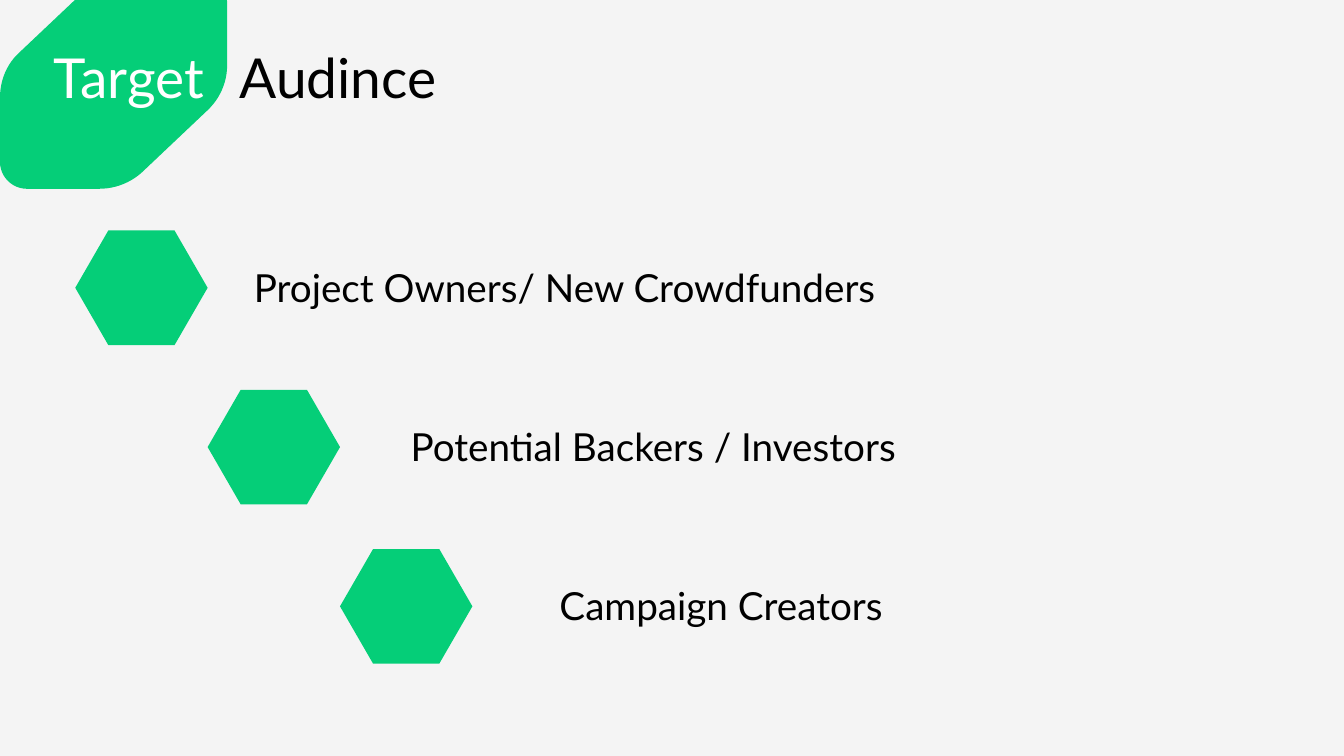
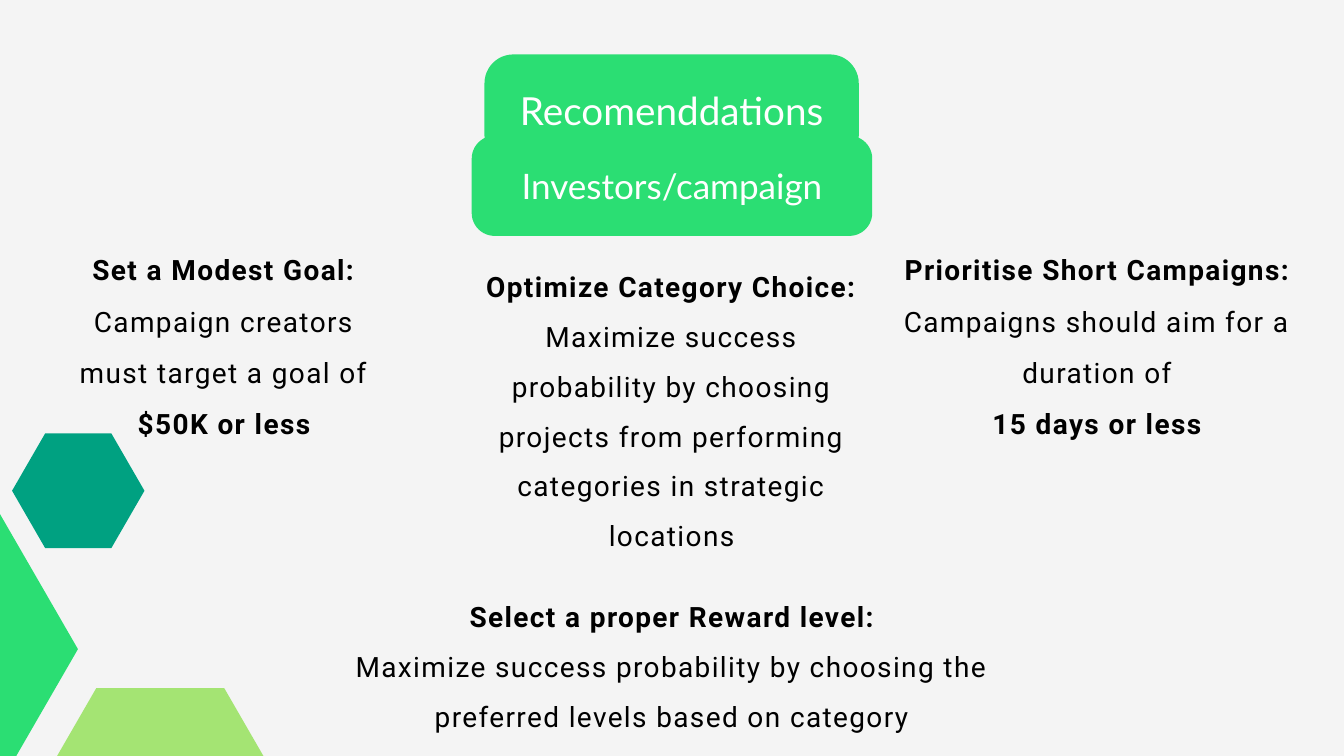
from pptx import Presentation
from pptx.dml.color import RGBColor
from pptx.enum.shapes import MSO_SHAPE
from pptx.enum.text import MSO_ANCHOR, MSO_AUTO_SIZE, PP_ALIGN
from pptx.util import Inches, Pt

COLUMNS = 20
TITLE_ONLY = 5
BACKGROUND = "F4F4F4"
BRIGHT_GREEN = "05CE78"
GREEN = "2BDE73"
LIME = "A4E473"
TEAL = "00A181"
BLACK = "000000"
WHITE = "FFFFFF"

FRAME = {
    "margin_left": 0, "margin_top": 0, "margin_right": 0, "margin_bottom": 0,
    "word_wrap": True, "auto_size": MSO_AUTO_SIZE.NONE,
    "vertical_anchor": MSO_ANCHOR.TOP,
}
HEADING = {"name": "Lato", "size": Pt(59), "bold": False}
LABEL = {**HEADING, "size": Pt(41.4)}
SUBTITLE = {**HEADING, "size": Pt(37.6)}
BODY = {"name": "Roboto", "size": Pt(30), "bold": False}
STRONG = {**BODY, "bold": True}
BODY_TRACKING = 1.5

# Each step is a straight line to one point or a curve given by three.
LEAF_START = (3.38, 0.04)
LEAF_STEPS = [
    [(3.38, 0.97)], [(3.38, 1.23), (3.27, 1.47), (3.09, 1.64)],
    [(2.15, 2.53)], [(1.97, 2.71), (1.73, 2.81), (1.47, 2.81)],
    [(0.4, 2.81)], [(0.18, 2.81), (0, 2.63), (0, 2.41)],
    [(0, 1.45)], [(0, 1.2), (0.1, 0.95), (0.29, 0.78)],
    [(1.2, -0.08)], [(1.38, -0.26), (1.63, -0.35), (1.88, -0.35)],
    [(2.98, -0.35)], [(3.2, -0.35), (3.38, -0.18), (3.38, 0.04)],
]


def color(value):
    return RGBColor.from_string(value)


def apply(target, values):
    for name, value in values.items():
        setattr(target, name, value)


def outline(start, steps, pieces=12):
    """Return the points of an outline, with its curves divided into short lines."""
    points = [start]
    for step in steps:
        if len(step) == 1:
            points += step
            continue
        controls = [points[-1], *step]
        for piece in range(1, pieces + 1):
            t = piece / pieces
            weights = ((1 - t) ** 3, 3 * t * (1 - t) ** 2, 3 * t * t * (1 - t), t ** 3)
            points.append(tuple(
                sum(weight * point[axis] for weight, point in zip(weights, controls))
                for axis in (0, 1)))
    return points


class Deck:
    """Slides on a grid of square cells, 20 to the slide's width."""

    def __init__(self):
        self.presentation = Presentation()
        self.presentation.slide_width = Inches(20)
        self.presentation.slide_height = Inches(11.25)
        self.cell = self.presentation.slide_width // COLUMNS
        fill = self.presentation.slide_master.background.fill
        fill.solid()
        fill.fore_color.rgb = color(BACKGROUND)
        self.slide = None

    def add_slide(self):
        layout = self.presentation.slide_layouts[TITLE_ONLY]
        self.slide = self.presentation.slides.add_slide(layout)

    def grid(self, *lengths):
        return [round(length * self.cell) for length in lengths]

    def paint(self, shape, fill):
        shape.shadow.inherit = False
        shape.fill.solid()
        shape.fill.fore_color.rgb = color(fill)
        shape.line.fill.background()

    def hexagon(self, left, top, width, fill):
        """Add a regular hexagon with a flat top."""
        height = width * 3 ** 0.5 / 2
        shape = self.slide.shapes.add_shape(
            MSO_SHAPE.HEXAGON, *self.grid(left, top, width, height))
        shape.adjustments[0] = width / 4 / height
        self.paint(shape, fill)

    def banner(self, left, top, width, height, radius):
        shape = self.slide.shapes.add_shape(
            MSO_SHAPE.ROUNDED_RECTANGLE, *self.grid(left, top, width, height))
        shape.adjustments[0] = radius / height
        self.paint(shape, GREEN)

    def leaf(self):
        start, *others = [self.grid(*point) for point in outline(LEAF_START, LEAF_STEPS)]
        builder = self.slide.shapes.build_freeform(*start)
        builder.add_line_segments(others, close=True)
        self.paint(builder.convert_to_shape(), BRIGHT_GREEN)

    def fill_text(self, shape, paragraphs, spacing):
        """Fill a shape with paragraphs of (text, font, colour, tracking) runs."""
        frame = shape.text_frame
        apply(frame, FRAME)
        for index, runs in enumerate(paragraphs):
            paragraph = frame.add_paragraph() if index else frame.paragraphs[0]
            apply(paragraph, {"alignment": PP_ALIGN.CENTER, "line_spacing": Pt(spacing),
                              "space_before": Pt(0), "space_after": Pt(0)})
            for text, font, text_color, tracking in runs:
                run = paragraph.add_run()
                run.text = text
                apply(run.font, font)
                run.font.color.rgb = color(text_color)
                if tracking:
                    run._r.get_or_add_rPr().set("spc", str(round(tracking * 100)))

    def title(self, box, runs, spacing):
        """Fill the title placeholder and bring it in front of the shapes so far."""
        title = self.slide.shapes.title
        apply(title, dict(zip(("left", "top", "width", "height"), self.grid(*box))))
        self.slide.shapes.element.append(title.element)
        self.fill_text(title, [runs], spacing)

    def text(self, box, paragraphs, spacing):
        self.fill_text(self.slide.shapes.add_textbox(*self.grid(*box)), paragraphs, spacing)

    def advice(self, box, paragraphs, spacing):
        """Add body text from paragraphs of (text, font) runs."""
        self.text(box, [[(text, font, BLACK, BODY_TRACKING) for text, font in runs]
                        for runs in paragraphs], spacing)


def add_audience(deck):
    deck.add_slide()
    deck.leaf()
    deck.title((-0.63, 0.64, 8.56, 0.98), [
        ("Target", HEADING, WHITE, 0), (" ", HEADING, WHITE, 23),
        ("Audince", HEADING, BLACK, 0)], 70.8)
    audiences = [
        ("Project Owners/ New Crowdfunders", 3.65, 9.5),
        ("Potential Backers / Investors", 5.52, 8.4),
        ("Campaign Creators", 7.86, 5.74),
    ]
    for index, (audience, left, width) in enumerate(audiences):
        top = 3.43 + 2.37 * index
        deck.hexagon(1.12 + 1.97 * index, top, 1.97, BRIGHT_GREEN)
        deck.text((left, top + 0.49, width, 0.69), [[(audience, LABEL, BLACK, 0)]], 49.6)


def add_recommendations(deck):
    deck.add_slide()
    deck.banner(7.21, 0.81, 5.57, 1.64, 0.43)
    deck.title((7.5, 1.29, 4.99, 0.69), [("Recomenddations", LABEL, WHITE, 0)], 49.6)
    deck.advice((1.16, 3.5, 4.35, 2.98), [[
        ("Set a Modest Goal: ", STRONG),
        ("Campaign creators must target a goal of ", BODY),
        ("$50K or less", STRONG)]], 54.9)
    deck.advice((13.18, 3.5, 6.29, 2.98), [
        [("Prioritise Short Campaigns:", STRONG)],
        [("Campaigns should aim for a duration of", BODY)],
        [("15 days or less", STRONG)]], 54.9)
    deck.advice((7.09, 3.77, 5.81, 4.38), [[
        ("Optimize Category Choice: ", STRONG),
        ("Maximize success probability by choosing projects from performing "
         "categories in strategic locations", BODY)]], 53.4)
    for hexagon in [(-4.29, 7.3, 5.45, GREEN), (0.48, 10.24, 3.81, LIME),
                    (0.18, 6.45, 1.97, TEAL)]:
        deck.hexagon(*hexagon)
    deck.banner(7.02, 2.02, 5.96, 1.49, 0.34)
    deck.text((7.33, 2.45, 5.34, 0.63), [[("Investors/campaign", SUBTITLE, WHITE, 0)]], 45.1)
    deck.advice((5.05, 8.68, 9.9, 2.16), [
        [("Select a proper Reward level:", STRONG)],
        [("Maximize success probability by choosing the preferred levels "
          "based on category", BODY)]], 53.4)


def main():
    deck = Deck()
    add_audience(deck)
    add_recommendations(deck)
    deck.presentation.save("out.pptx")


if __name__ == "__main__":
    main()
